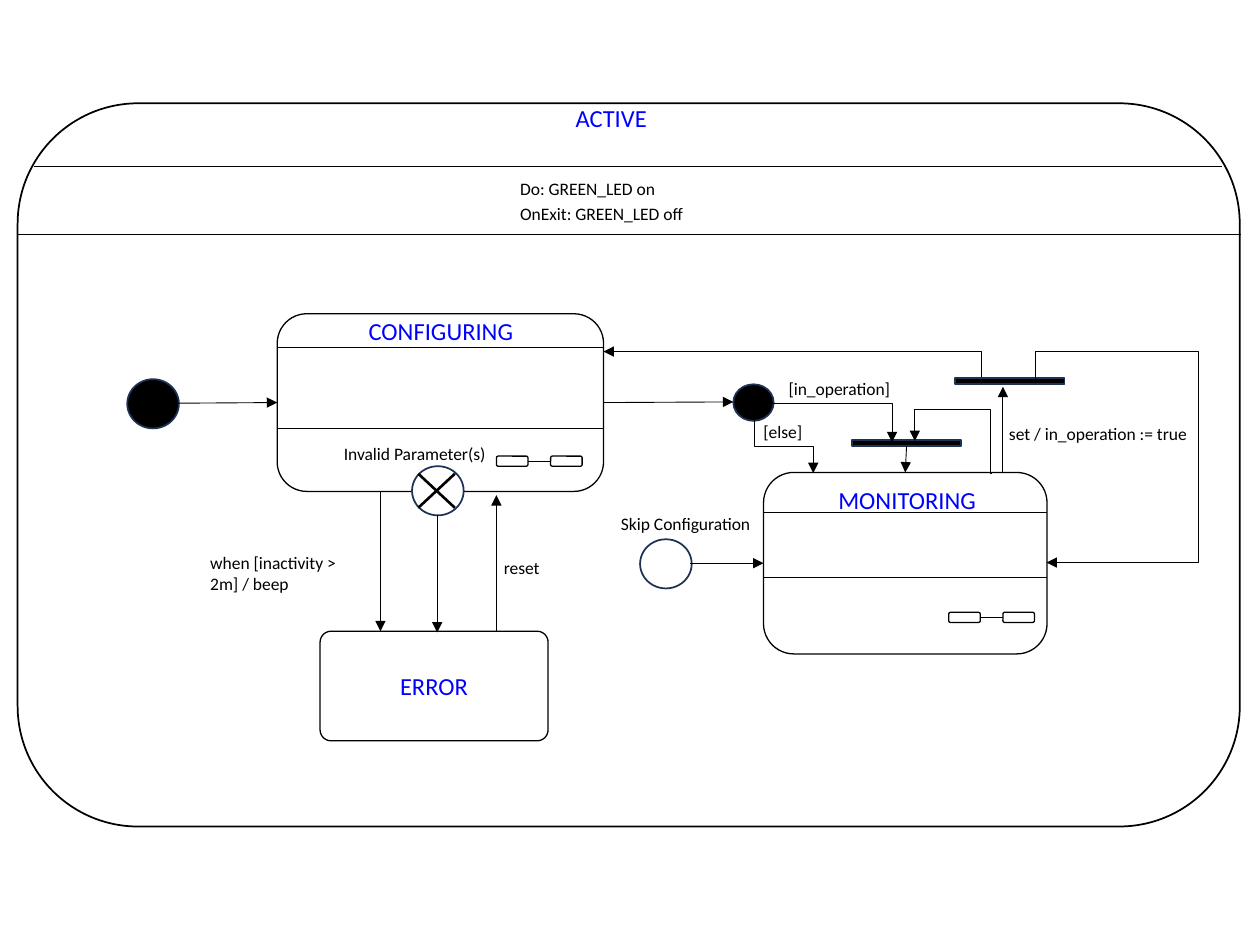
from pptx import Presentation
from pptx.dml.color import RGBColor
from pptx.enum.shapes import MSO_CONNECTOR as LINK, MSO_SHAPE as FORM
from pptx.enum.text import MSO_ANCHOR as ANCHOR, MSO_AUTO_SIZE as FIT, PP_ALIGN as ALIGN
from pptx.util import Inches, Pt
from lxml.etree import SubElement
from pptx.oxml.ns import qn

COLORS = {"ink": "000000", "title": "0000FF", "rim": "1E3256", "paper": "FFFFFF"}
FONT = "Calibri"
# The slide is a grid of 1000 columns by 750 rows
WIDTH, HEIGHT = Inches(10), Inches(7.5)
COL, ROW = WIDTH / 1000, HEIGHT / 750


def color(name):
    return RGBColor.from_string(COLORS[name])


def cells(*lengths):
    """Turn alternating columns and rows into slide lengths."""
    return [round(n * (ROW if i % 2 else COL)) for i, n in enumerate(lengths)]


def node(shapes, form, box, fill=None, rim="ink", weight=1.0, corner=None):
    """A state outline, pseudostate or bar."""
    shape = shapes.add_shape(form, *cells(*box))
    shape.shadow.inherit = False
    if fill:
        shape.fill.solid()
        shape.fill.fore_color.rgb = color(fill)
    else:
        shape.fill.background()
    shape.line.color.rgb = color(rim)
    shape.line.width = Pt(weight)
    if corner:
        shape.adjustments[0] = corner
    return shape


def write(frame, words, size=10, ink="ink", align=ALIGN.LEFT, wrap=False):
    frame.word_wrap = wrap
    paragraph = frame.paragraphs[0]
    paragraph.alignment = align
    run = paragraph.add_run()
    run.text = words
    run.font.name, run.font.size = FONT, Pt(size)
    run.font.color.rgb = color(ink)


def label(shapes, box, words, **style):
    frame = shapes.add_textbox(*cells(*box)).text_frame
    frame.auto_size = FIT.SHAPE_TO_FIT_TEXT
    write(frame, words, **style)


def ink_link(link, weight, arrow):
    """Line style shared by straight and elbow links."""
    link.line.color.rgb = color("ink")
    link.line.width = Pt(weight)
    if arrow:
        SubElement(link.line._get_or_add_ln(), qn("a:tailEnd"), type="triangle")
    SubElement(link._element.spPr, qn("a:effectLst"))


def straight(shapes, ends, weight=0.5, arrow=False, source=None, target=None):
    """A straight link; source and target are (shape, side) pairs."""
    link = shapes.add_connector(LINK.STRAIGHT, *cells(*ends))
    if source:
        link.begin_connect(*source)
    if target:
        link.end_connect(*target)
    ink_link(link, weight, arrow)


def elbow(shapes, box, bends, turn=0, flip=False, adjust=()):
    """An elbow arrow in an unturned box, then turned by some degrees."""
    left, top, wide, high = box
    link = shapes.add_connector(LINK.ELBOW, *cells(left, top, left + wide, top + high))
    properties = link._element.spPr
    frame = properties.find(qn("a:xfrm"))
    if turn:
        frame.set("rot", str(turn * 60000))
    if flip:
        frame.set("flipH", "1")
    geometry = properties.find(qn("a:prstGeom"))
    geometry.set("prst", f"bentConnector{bends + 1}")
    guides = geometry.find(qn("a:avLst"))
    for number, share in enumerate(adjust, 1):
        SubElement(guides, qn("a:gd"), name=f"adj{number}", fmla=f"val {round(share * 100000)}")
    ink_link(link, 0.5, True)


def composite_state(shapes, box, dividers, icon, title, title_box):
    """Outline, two dividers, nested-states icon and title; returns the outline."""
    parts = shapes.add_group_shape().shapes
    left, top, wide, high = box
    outline = node(parts, FORM.ROUNDED_RECTANGLE, box, weight=0.75)
    for row in dividers:
        straight(parts, (left, row, left + wide, row))
    x, y = icon
    for start in (x, x + 43):
        node(parts, FORM.ROUNDED_RECTANGLE, (start, y, 25, 8), weight=0.75)
    straight(parts, (x + 25, y + 4, x + 43, y + 4))
    label(parts, title_box, title, size=14, ink="title", align=ALIGN.CENTER)
    return outline


def exit_point(shapes, box):
    """A circle with a cross in it."""
    parts = shapes.add_group_shape().shapes
    node(parts, FORM.FLOWCHART_CONNECTOR, box, "paper", "rim")
    left, top, wide, high = box
    x1, x2, y1, y2 = left + 5, left + wide - 7, top + 6, top + high - 6
    straight(parts, (x1, y2, x2, y1), weight=1.5)
    straight(parts, (x1, y1, x2, y2), weight=1.5)


def main():
    deck = Presentation()
    deck.slide_width, deck.slide_height = WIDTH, HEIGHT
    shapes = deck.slides.add_slide(deck.slide_layouts[6]).shapes

    # Enclosing ACTIVE state
    node(shapes, FORM.ROUNDED_RECTANGLE, (14, 82, 970, 574))
    label(shapes, (447, 77, 77, 34), "ACTIVE", size=14, ink="title")
    straight(shapes, (27, 132, 970, 132))
    straight(shapes, (14, 186, 985, 186))
    label(shapes, (403, 136, 128, 27), "Do: GREEN_LED on")
    label(shapes, (403, 156, 151, 27), "OnExit: GREEN_LED off")

    # Inner states
    monitoring = composite_state(shapes, (606, 375, 225, 144), (407, 458), (753, 486),
                                 "MONITORING", (655, 380, 130, 34))
    configuring = composite_state(shapes, (220, 249, 259, 141), (276, 340), (394, 362),
                                  "CONFIGURING", (282, 246, 136, 34))
    error = node(shapes, FORM.ROUNDED_RECTANGLE, (254, 501, 181, 87), weight=0.75, corner=0.1)
    error.text_frame.vertical_anchor = ANCHOR.MIDDLE
    write(error.text_frame, "ERROR", size=14, ink="title", align=ALIGN.CENTER)

    # Initial state, entry point, junction, exit point and bars
    for box, fill in (((101, 301, 41, 39), "ink"),
                      ((508, 428, 41, 39), "paper"),
                      ((582, 305, 32, 29), "ink")):
        node(shapes, FORM.FLOWCHART_CONNECTOR, box, fill, "rim")
    exit_point(shapes, (327, 370, 41, 39))
    merge_bar, _ = [node(shapes, FORM.RECTANGLE, (left, top, 87, 5), "ink", "rim")
                    for left, top in ((676, 349), (758, 300))]

    # Straight transitions
    for ends, source, target in (
        ((141, 320, 220, 320), None, (configuring, 1)),
        ((548, 447, 606, 447), None, (monitoring, 1)),
        ((479, 320, 582, 319), (configuring, 3), None),
        ((719, 354, 719, 375), (merge_bar, 2), (monitoring, 0)),
        ((796, 375, 796, 307), None, None),
        ((302, 390, 302, 501), None, None),
        ((347, 409, 347, 502), None, None),
        ((394, 501, 394, 393), None, None),
    ):
        straight(shapes, ends, arrow=True, source=source, target=target)

    # Elbow transitions
    elbow(shapes, (726, 350, 61, 26), 3, turn=180, adjust=(0.01, 1.97))
    elbow(shapes, (584, 320, 124, 31), 1)
    elbow(shapes, (479, 279, 300, 20), 2, turn=180, adjust=(0,))
    elbow(shapes, (753, 369, 146, 9), 3, turn=270, flip=True, adjust=(-0.15, 14.42))
    elbow(shapes, (601, 331, 42, 47), 2, turn=270, flip=True)

    # Transition labels
    for box, words in (
        ((483, 402, 128, 27), "Skip Configuration"),
        ((791, 331, 164, 27), "set / in_operation := true"),
        ((390, 437, 49, 27), "reset"),
        ((263, 347, 138, 27), "Invalid Parameter(s)"),
        ((616, 295, 102, 27), "[in_operation]"),
        ((596, 329, 52, 27), "[else]"),
    ):
        label(shapes, box, words)
    label(shapes, (157, 433, 152, 44), "when [inactivity > 2m] / beep", wrap=True)

    deck.save("out.pptx")


if __name__ == "__main__":
    main()
